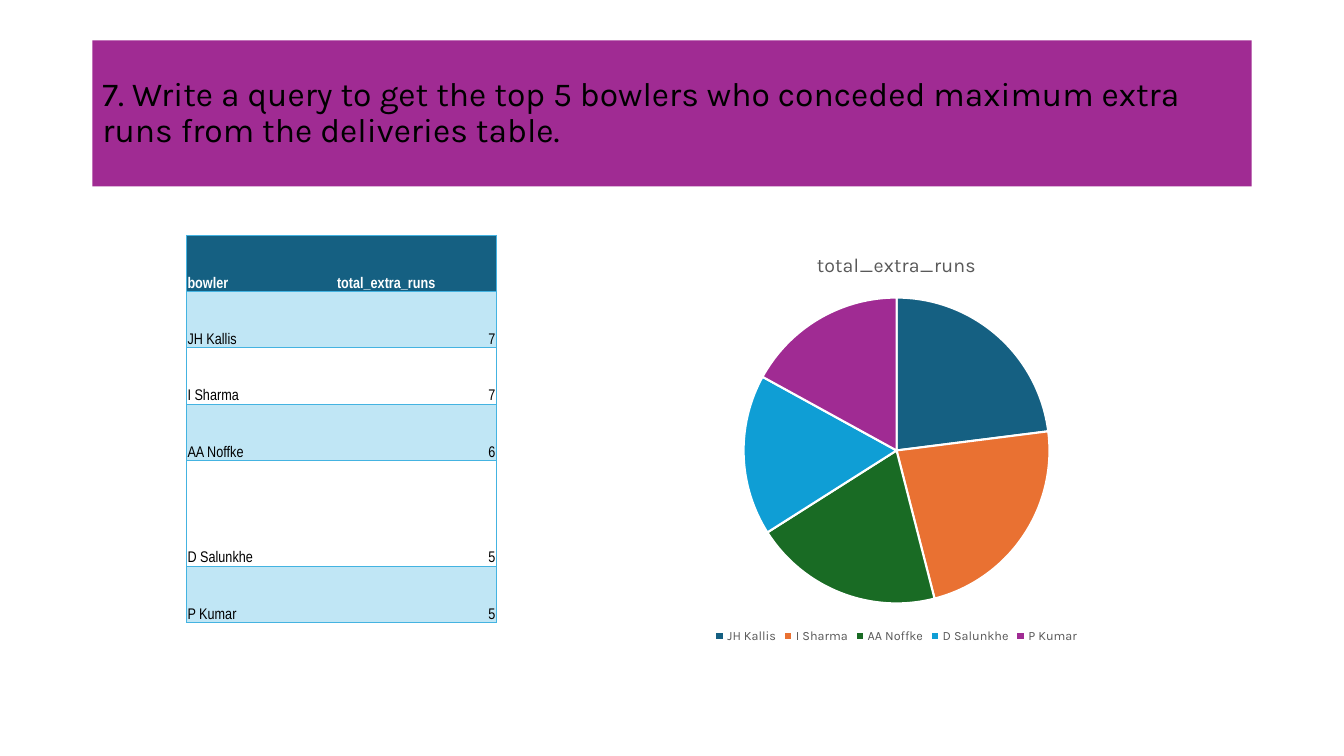
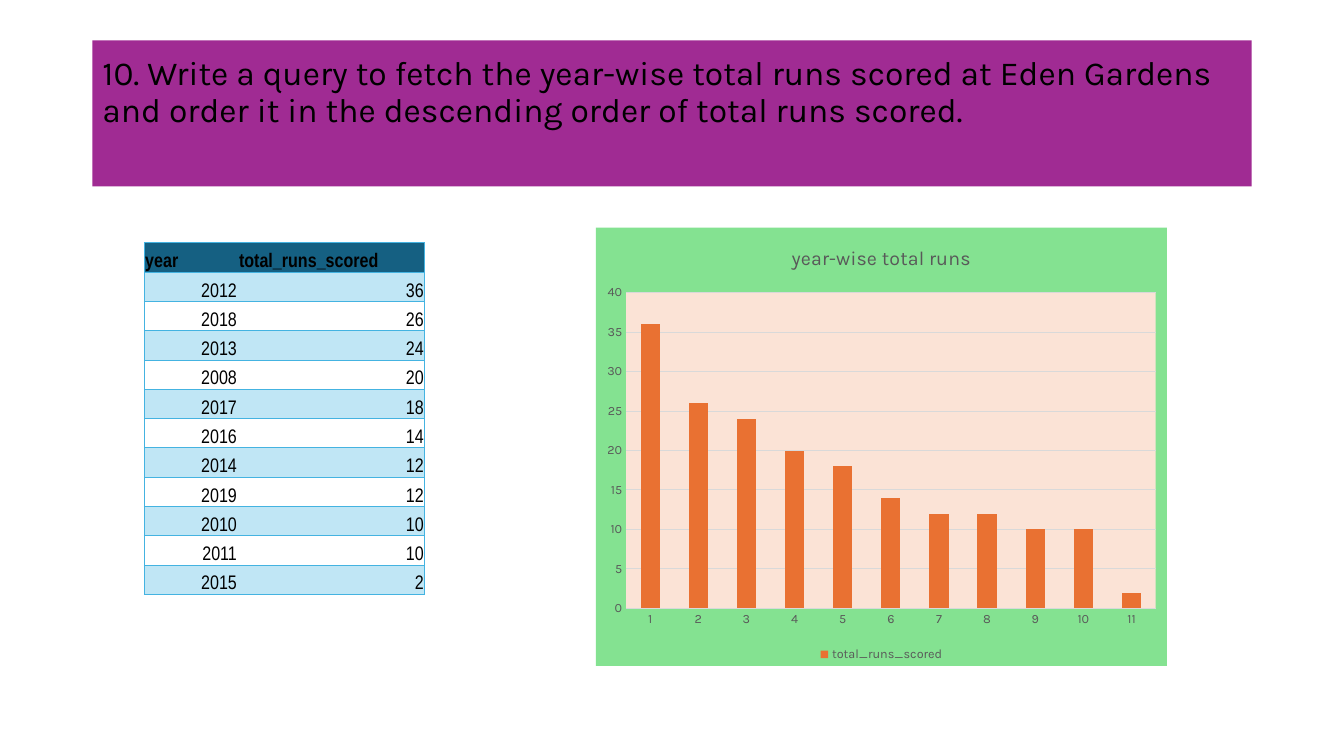
from dataclasses import dataclass
from typing import NamedTuple

from lxml.etree import SubElement
from pptx import Presentation
from pptx.chart.chart import Chart
from pptx.chart.data import CategoryChartData
from pptx.dml.color import RGBColor
from pptx.enum.chart import XL_CHART_TYPE as ChartType
from pptx.enum.chart import XL_LEGEND_POSITION as LegendPosition
from pptx.enum.chart import XL_TICK_MARK as TickMark
from pptx.enum.text import MSO_ANCHOR as Anchor
from pptx.enum.text import MSO_AUTO_SIZE as AutoSize
from pptx.enum.text import PP_ALIGN as Align
from pptx.oxml import parse_xml
from pptx.oxml.ns import nsdecls, qn
from pptx.slide import Slide
from pptx.table import _Cell as Cell
from pptx.text.text import TextFrame
from pptx.util import Pt

BLACK = RGBColor(0x00, 0x00, 0x00)
WHITE = RGBColor(0xFF, 0xFF, 0xFF)
GRAY = RGBColor(0x59, 0x59, 0x59)
LIGHT_GRAY = RGBColor(0xD9, 0xD9, 0xD9)
PURPLE = RGBColor(0xA0, 0x2B, 0x93)
TEAL = RGBColor(0x15, 0x60, 0x82)
ORANGE = RGBColor(0xE9, 0x71, 0x32)
GREEN = RGBColor(0x19, 0x6B, 0x24)
BLUE = RGBColor(0x0F, 0x9E, 0xD5)
PALE_BLUE = RGBColor(0xC0, 0xE6, 0xF5)
BORDER_BLUE = RGBColor(0x44, 0xB3, 0xE1)
LIGHT_GREEN = RGBColor(0x84, 0xE2, 0x91)
PEACH = RGBColor(0xFB, 0xE3, 0xD6)
SLICE_COLORS = (TEAL, ORANGE, GREEN, BLUE, PURPLE)

TITLE_FONT = "Karla"
TABLE_FONT = "Arial Narrow"


class Box(NamedTuple):
    left: float
    top: float
    width: float
    height: float

    def lengths(self) -> tuple[Pt, ...]:
        return tuple(Pt(value) for value in self)


TITLE_BOX = Box(66, 28.8, 828, 104.4)


@dataclass(frozen=True)
class ResultTable:
    left: float
    top: float
    column_widths: tuple[float, ...]
    row_heights: tuple[float, ...]
    rows: tuple[tuple[str, ...], ...]
    alignments: tuple[Align, ...]
    size: float
    header_color: RGBColor


@dataclass(frozen=True)
class ResultChart:
    box: Box
    kind: ChartType
    title: str
    series_name: str
    categories: tuple[str, ...]
    values: tuple[int, ...]


@dataclass(frozen=True)
class QuerySlide:
    title: str
    title_bottom_margin: float
    table: ResultTable
    chart: ResultChart


BOWLERS = (("JH Kallis", "7"), ("I Sharma", "7"), ("AA Noffke", "6"),
           ("D Salunkhe", "5"), ("P Kumar", "5"))
YEAR_RUNS = ((2012, 36), (2018, 26), (2013, 24), (2008, 20), (2017, 18), (2016, 14),
             (2014, 12), (2019, 12), (2010, 10), (2011, 10), (2015, 2))

QUERY_SLIDES = (
    QuerySlide(
        title="7. Write a query to get the top 5 bowlers who conceded maximum "
              "extra runs from the deliveries table.",
        title_bottom_margin=3.6,
        table=ResultTable(
            left=133.2, top=168, column_widths=(106.8, 114.6),
            row_heights=(40.2, 40.2, 40.2, 40.2, 75.6, 40.2),
            rows=(("bowler", "total_extra_runs"), *BOWLERS),
            alignments=(Align.LEFT, Align.RIGHT), size=11, header_color=WHITE),
        chart=ResultChart(
            box=Box(453.6, 168, 373.6, 294.4), kind=ChartType.PIE,
            title="total_extra_runs", series_name="total_extra_runs",
            categories=tuple(name for name, _ in BOWLERS),
            values=(23, 23, 20, 17, 17)),
    ),
    QuerySlide(
        title="10. Write a query to fetch the year-wise total runs scored at Eden "
              "Gardens and order it in the descending order of total runs scored.",
        title_bottom_margin=32.6,
        table=ResultTable(
            left=103, top=173.4, column_widths=(67, 133.4),
            row_heights=(20.94,) * (len(YEAR_RUNS) + 1),
            rows=(("year", "total_runs_scored"),
                  *((str(year), str(runs)) for year, runs in YEAR_RUNS)),
            alignments=(Align.RIGHT, Align.RIGHT), size=14, header_color=BLACK),
        chart=ResultChart(
            box=Box(425.6, 162.6, 408, 313), kind=ChartType.COLUMN_STACKED,
            title="year-wise total runs", series_name="total_runs_scored",
            categories=tuple(str(rank) for rank in range(1, len(YEAR_RUNS) + 1)),
            values=tuple(runs for _, runs in YEAR_RUNS)),
    ),
)


def write_text(frame: TextFrame, text: str, *, size: float, color: RGBColor = BLACK,
               font: str = TITLE_FONT, bold: bool = False,
               align: Align | None = None, line_spacing: float | None = None) -> None:
    paragraph = frame.paragraphs[0]
    if align is not None:
        paragraph.alignment = align
    if line_spacing is not None:
        paragraph.line_spacing = line_spacing
    run = paragraph.add_run()
    run.text = text
    run.font.name = font
    run.font.size = Pt(size)
    run.font.bold = bold
    run.font.color.rgb = color


def draw_title(slide: Slide, text: str, bottom_margin: float) -> None:
    title = slide.shapes.title
    title.left, title.top, title.width, title.height = TITLE_BOX.lengths()
    title.fill.solid()
    title.fill.fore_color.rgb = PURPLE
    frame = title.text_frame
    frame.auto_size = AutoSize.NONE
    frame.word_wrap = True
    frame.vertical_anchor = Anchor.MIDDLE
    frame.margin_bottom = Pt(bottom_margin)
    write_text(frame, text, size=24, align=Align.LEFT, line_spacing=0.9)


def set_borders(cell: Cell, visible_sides: str) -> None:
    properties = cell._tc.get_or_add_tcPr()
    for side in "LRTB":
        line = SubElement(properties, qn(f"a:ln{side}"), w=str(Pt(0.5)))
        if side in visible_sides:
            fill = SubElement(line, qn("a:solidFill"))
            SubElement(fill, qn("a:srgbClr"), val=str(BORDER_BLUE))
        else:
            SubElement(line, qn("a:noFill"))


def fill_cell(cell: Cell, row_index: int) -> None:
    if row_index and row_index % 2 == 0:
        cell.fill.background()
        return
    cell.fill.solid()
    cell.fill.fore_color.rgb = PALE_BLUE if row_index else TEAL


def draw_table(slide: Slide, result: ResultTable) -> None:
    box = Box(result.left, result.top, sum(result.column_widths), sum(result.row_heights))
    table = slide.shapes.add_table(
        len(result.rows), len(result.column_widths), *box.lengths()).table
    table.horz_banding = False
    for column, width in zip(table.columns, result.column_widths):
        column.width = Pt(width)
    for row_index, (row, height) in enumerate(zip(table.rows, result.row_heights)):
        row.height = Pt(height)
        header = row_index == 0
        for column_index, text in enumerate(result.rows[row_index]):
            cell = row.cells[column_index]
            cell.margin_left = cell.margin_right = cell.margin_top = Pt(0.75)
            cell.margin_bottom = Pt(0)
            cell.vertical_anchor = Anchor.BOTTOM
            set_borders(cell, "TB" + "LR"[column_index])
            fill_cell(cell, row_index)
            write_text(cell.text_frame, text, size=result.size, font=TABLE_FONT,
                       bold=header, color=result.header_color if header else BLACK,
                       align=Align.LEFT if header else result.alignments[column_index])


def area_fill(color: RGBColor):
    return parse_xml(
        f'<c:spPr {nsdecls("c", "a")}><a:solidFill><a:srgbClr val="{color}"/>'
        "</a:solidFill><a:ln><a:noFill/></a:ln></c:spPr>")


def format_pie(chart: Chart) -> None:
    plot = chart.plots[0]
    plot.vary_by_categories = True
    for index, color in enumerate(SLICE_COLORS):
        slice_format = plot.series[0].points[index].format
        slice_format.fill.solid()
        slice_format.fill.fore_color.rgb = color
        slice_format.line.color.rgb = WHITE
        slice_format.line.width = Pt(1.5)


def format_columns(chart: Chart) -> None:
    plot = chart.plots[0]
    plot.vary_by_categories = False
    plot.gap_width = 150
    plot.overlap = 100
    series_fill = plot.series[0].format.fill
    series_fill.solid()
    series_fill.fore_color.rgb = ORANGE

    for axis in (chart.category_axis, chart.value_axis):
        axis.major_tick_mark = axis.minor_tick_mark = TickMark.NONE
        font = axis.tick_labels.font
        font.name = TITLE_FONT
        font.size = Pt(9)
        font.color.rgb = GRAY
    value_axis = chart.value_axis
    value_axis.minimum_scale = 0
    value_axis.maximum_scale = 40
    value_axis.major_unit = 5
    value_axis.format.line.fill.background()
    for line in (chart.category_axis.format.line, value_axis.major_gridlines.format.line):
        line.color.rgb = LIGHT_GRAY
        line.width = Pt(0.75)

    chart_element = chart.element.find(qn("c:chart"))
    chart_element.addnext(area_fill(LIGHT_GREEN))
    chart_element.find(qn("c:plotArea")).append(area_fill(PEACH))


def draw_chart(slide: Slide, result: ResultChart) -> None:
    data = CategoryChartData()
    data.categories = result.categories
    data.add_series(result.series_name, result.values)
    chart = slide.shapes.add_chart(result.kind, *result.box.lengths(), data).chart
    chart.font.name = TITLE_FONT
    chart.font.size = Pt(10)
    chart.font.color.rgb = BLACK
    chart.has_title = True
    chart.chart_title.include_in_layout = False
    write_text(chart.chart_title.text_frame, result.title, size=14, color=GRAY)
    chart.has_legend = True
    chart.legend.position = LegendPosition.BOTTOM
    chart.legend.include_in_layout = False
    chart.legend.font.name = TITLE_FONT
    chart.legend.font.size = Pt(9)
    chart.legend.font.color.rgb = GRAY
    if result.kind == ChartType.PIE:
        format_pie(chart)
    else:
        format_columns(chart)


def main() -> None:
    presentation = Presentation()
    presentation.slide_width = Pt(960)
    presentation.slide_height = Pt(540)
    title_only = presentation.slide_layouts[5]
    for query in QUERY_SLIDES:
        slide = presentation.slides.add_slide(title_only)
        draw_title(slide, query.title, query.title_bottom_margin)
        draw_chart(slide, query.chart)
        draw_table(slide, query.table)
    presentation.save("out.pptx")


if __name__ == "__main__":
    main()
